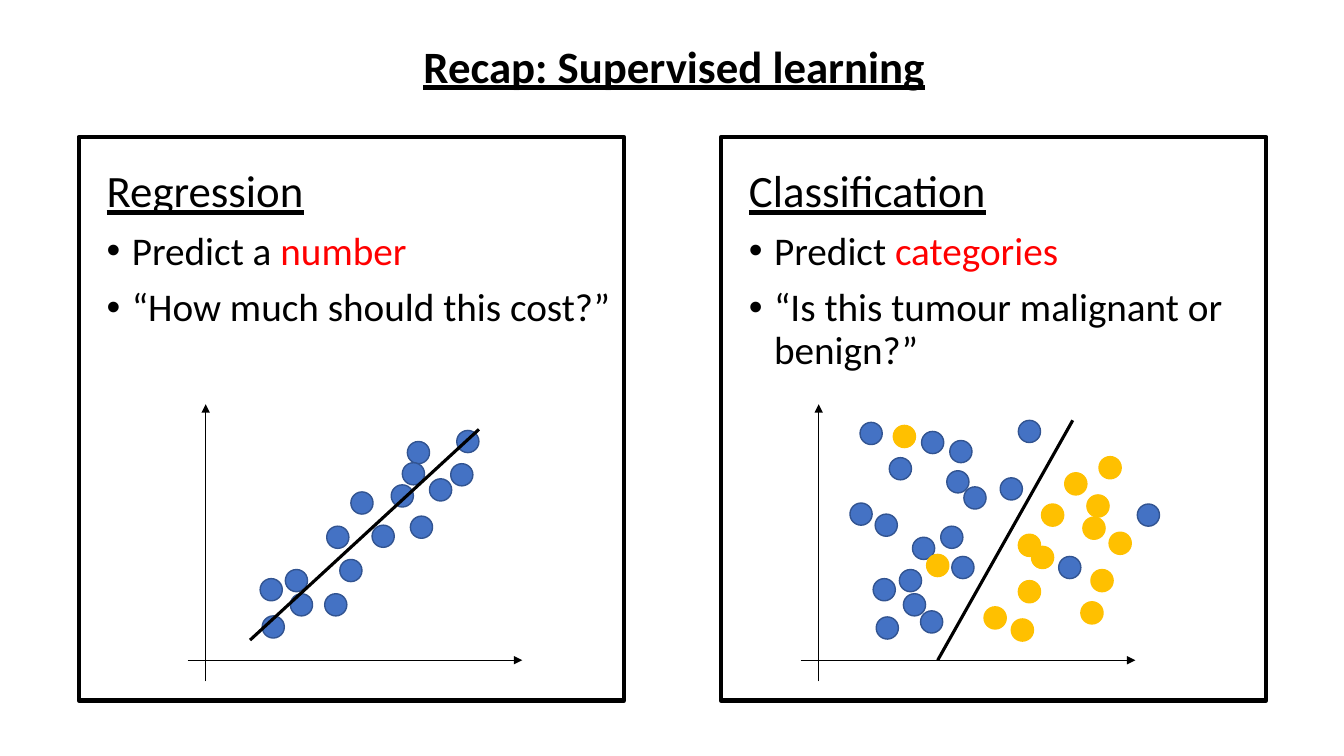
import pptx
import pptx.dml.color
import pptx.enum.shapes
import pptx.enum.text
import pptx.oxml
import pptx.oxml.ns
import pptx.util
from pptx.util import Inches

FONT = "Calibri"
BLACK, WHITE, RED = "000000", "FFFFFF", "FF0000"
BLUE, BLUE_EDGE, GOLD = "4472C4", "325491", "FFC000"
PANEL_TOP, PANEL_WIDTH, PANEL_HEIGHT = 1.36, 5.41, 5.59
PLOT_WIDTH, PLOT_HEIGHT = 3.32, 2.75
DOT_SIZE = 0.22

# Dot corners and fitted lines, in inches from the top left of each plot
REGRESSION_DOTS = [
    (0.72, 1.73), (0.74, 2.1), (1.02, 1.88), (0.97, 1.64), (1.36, 1.88), (1.38, 1.21),
    (1.51, 1.54), (2.02, 0.8), (1.83, 1.2), (2.4, 0.74), (2.18, 0.37), (2.61, 0.59),
    (2.13, 0.58), (2.21, 1.11), (2.67, 0.26), (1.62, 0.87),
]
BLUE_CLASS_DOTS = [
    (0.72, 1.73), (0.75, 2.11), (1.02, 1.88), (0.98, 1.64), (1.11, 1.32), (1.39, 1.21),
    (0.74, 1.09), (2.16, 0.16), (1.45, 0.66), (1.2, 0.27), (0.49, 0.98), (2.56, 1.51),
    (1.48, 0.36), (0.59, 0.18), (0.88, 0.53), (1.62, 0.82), (1.98, 0.73), (1.19, 2.05),
    (1.5, 1.51), (3.34, 0.99),
]
GOLD_CLASS_DOTS = [
    (2.16, 1.75), (3.06, 1.27), (2.84, 0.9), (0.92, 0.21), (2.8, 1.12), (2.88, 1.64),
    (2.96, 0.52), (2.29, 1.41), (1.25, 1.49), (2.09, 2.13), (1.82, 2.01), (2.16, 1.29),
    (2.62, 0.68), (2.39, 0.99), (2.78, 1.96),
]

PANELS = [
    {
        "left": 0.78,
        "plot_left": 1.08,
        "heading": "Regression",
        "bullets": [[("Predict a ", BLACK), ("number", RED)],
                    [("“How much should this cost?”", BLACK)]],
        "dots": [(REGRESSION_DOTS, BLUE, BLUE_EDGE)],
        "fit": ((2.89, 0.25), (0.62, 2.34)),
    },
    {
        "left": 7.15,
        "plot_left": 0.79,
        "heading": "Classification",
        "bullets": [[("Predict ", BLACK), ("categories", RED)],
                    [("“Is this tumour malignant or benign?”", BLACK)]],
        "dots": [(BLUE_CLASS_DOTS, BLUE, BLUE_EDGE), (GOLD_CLASS_DOTS, GOLD, GOLD)],
        "fit": ((2.7, 0.16), (1.36, 2.54)),
    },
]


def colour(value):
    return pptx.dml.color.RGBColor.from_string(value)


def add_span(para, text, size, value=BLACK, bold=False, underline=False):
    span = para.add_run()
    span.text = text
    span.font.name = FONT
    span.font.size = pptx.util.Pt(size)
    span.font.color.rgb = colour(value)
    span.font.bold = bold
    span.font.underline = underline


def add_solid(shapes, kind, left, top, width, height, fill, edge, weight):
    shape = shapes.add_shape(kind, Inches(left), Inches(top), Inches(width), Inches(height))
    shape.shadow.inherit = False
    shape.fill.solid()
    shape.fill.fore_color.rgb = colour(fill)
    shape.line.color.rgb = colour(edge)
    shape.line.width = pptx.util.Pt(weight)


def add_line(shapes, start, end, weight, arrow=False):
    line = shapes.add_connector(
        pptx.enum.shapes.MSO_CONNECTOR.STRAIGHT,
        Inches(start[0]), Inches(start[1]), Inches(end[0]), Inches(end[1]))
    line.line.color.rgb = colour(BLACK)
    line.line.width = pptx.util.Pt(weight)
    if arrow:
        head = pptx.oxml.parse_xml(
            f'<a:tailEnd {pptx.oxml.ns.nsdecls("a")} type="triangle"/>')
        line.line._get_or_add_ln().append(head)
    line._element.spPr.append(
        pptx.oxml.parse_xml(f'<a:effectLst {pptx.oxml.ns.nsdecls("a")}/>'))


def add_title(page, left, top, width, height):
    title = page.shapes.title
    title.left, title.top = Inches(left), Inches(top)
    title.width, title.height = Inches(width), Inches(height)
    frame = title.text_frame
    frame.word_wrap = True
    frame.auto_size = pptx.enum.text.MSO_AUTO_SIZE.NONE
    frame.vertical_anchor = pptx.enum.text.MSO_ANCHOR.TOP
    frame.margin_top = Inches(0.08)
    para = frame.paragraphs[0]
    para.alignment = pptx.enum.text.PP_ALIGN.LEFT
    para.line_spacing = 0.9
    add_span(para, "Recap: Supervised learning", 32, bold=True, underline=True)


def add_bullet(para):
    properties = para._p.get_or_add_pPr()
    properties.set("marL", str(Inches(0.25)))
    properties.set("indent", str(-Inches(0.25)))
    for tag in ('buFont {} typeface="Arial"', 'buChar {} char="•"'):
        properties.append(pptx.oxml.parse_xml(
            "<a:" + tag.format(pptx.oxml.ns.nsdecls("a")) + "/>"))


def add_panel_text(page, left, top, heading, bullets):
    box = page.shapes.add_textbox(Inches(left), Inches(top), Inches(5.67), Inches(4.76))
    frame = box.text_frame
    frame.word_wrap = True
    add_span(frame.paragraphs[0], heading, 32, underline=True)
    for bullet in bullets:
        para = frame.add_paragraph()
        for text, value in bullet:
            add_span(para, text, 28, value)
    for para in frame.paragraphs:
        para.line_spacing = 0.9
        para.space_before = pptx.util.Pt(10)
    for para in frame.paragraphs[1:]:
        add_bullet(para)


def add_plot(page, left, top, dot_sets, fit):
    shapes = page.shapes.add_group_shape().shapes
    # Axes
    axis_x, axis_y = left + 0.18, top + 2.54
    add_line(shapes, (axis_x, top + PLOT_HEIGHT), (axis_x, top), 1, arrow=True)
    add_line(shapes, (left, axis_y), (left + PLOT_WIDTH, axis_y), 1, arrow=True)
    # Data points
    for dots, fill, edge in dot_sets:
        for x, y in dots:
            add_solid(shapes, pptx.enum.shapes.MSO_SHAPE.OVAL,
                      left + x, top + y, DOT_SIZE, DOT_SIZE, fill, edge, 1)
    # Fitted line or class boundary
    start, end = [(left + x, top + y) for x, y in fit]
    add_line(shapes, start, end, 2.25)


def add_panel(page, panel):
    left = panel["left"]
    add_solid(page.shapes, pptx.enum.shapes.MSO_SHAPE.RECTANGLE,
              left, PANEL_TOP, PANEL_WIDTH, PANEL_HEIGHT, WHITE, BLACK, 3)
    add_panel_text(page, left + 0.18, PANEL_TOP + 0.27, panel["heading"], panel["bullets"])
    add_plot(page, left + panel["plot_left"], PANEL_TOP + 2.65, panel["dots"], panel["fit"])


def main():
    deck = pptx.Presentation()
    deck.slide_width, deck.slide_height = Inches(13.33), Inches(7.5)
    page = deck.slides.add_slide(deck.slide_layouts.get_by_name("Title Only"))
    add_title(page, 4.1, 0.36, 5.8, 1.14)
    for panel in PANELS:
        add_panel(page, panel)
    deck.save("out.pptx")


if __name__ == "__main__":
    main()
